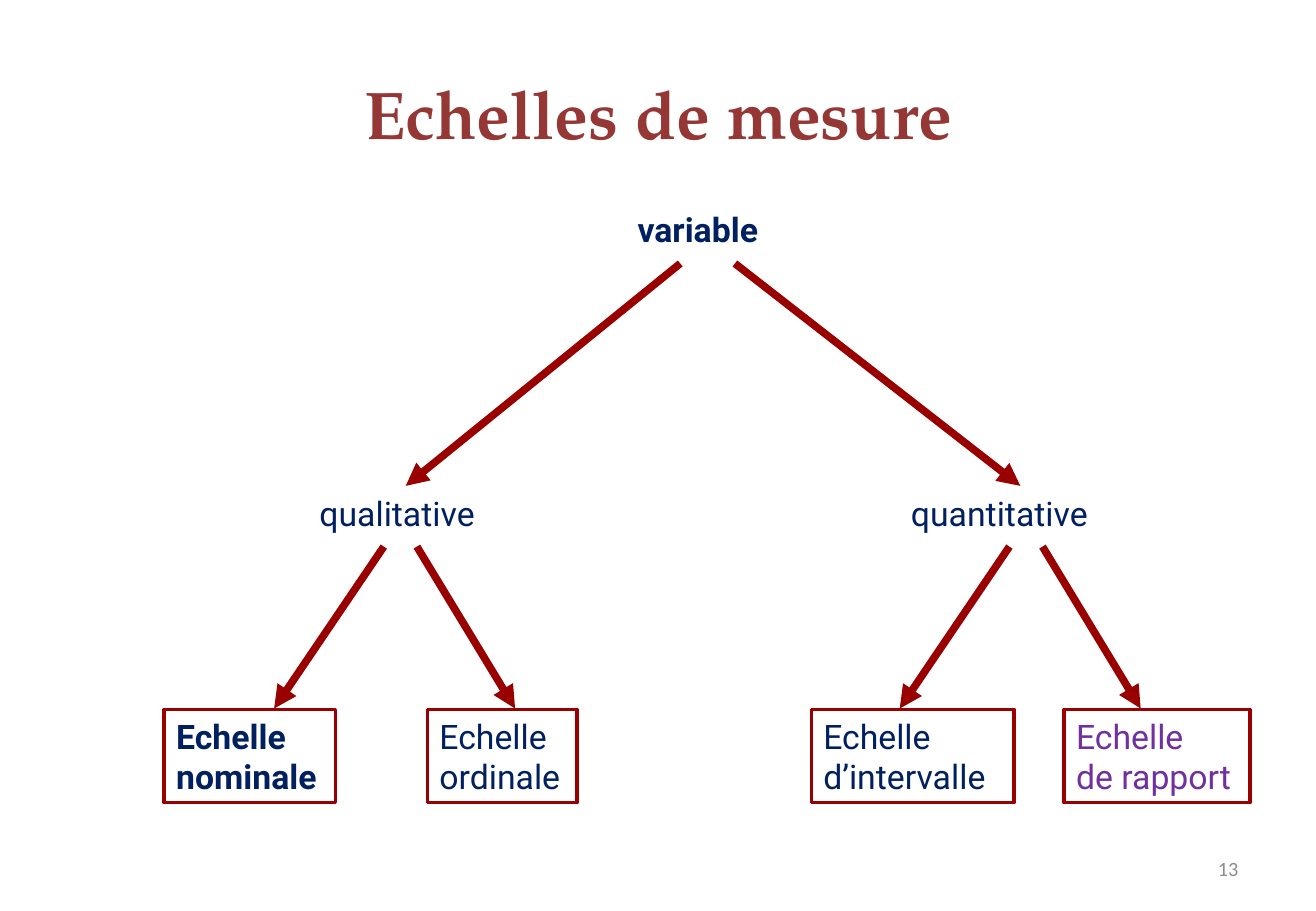
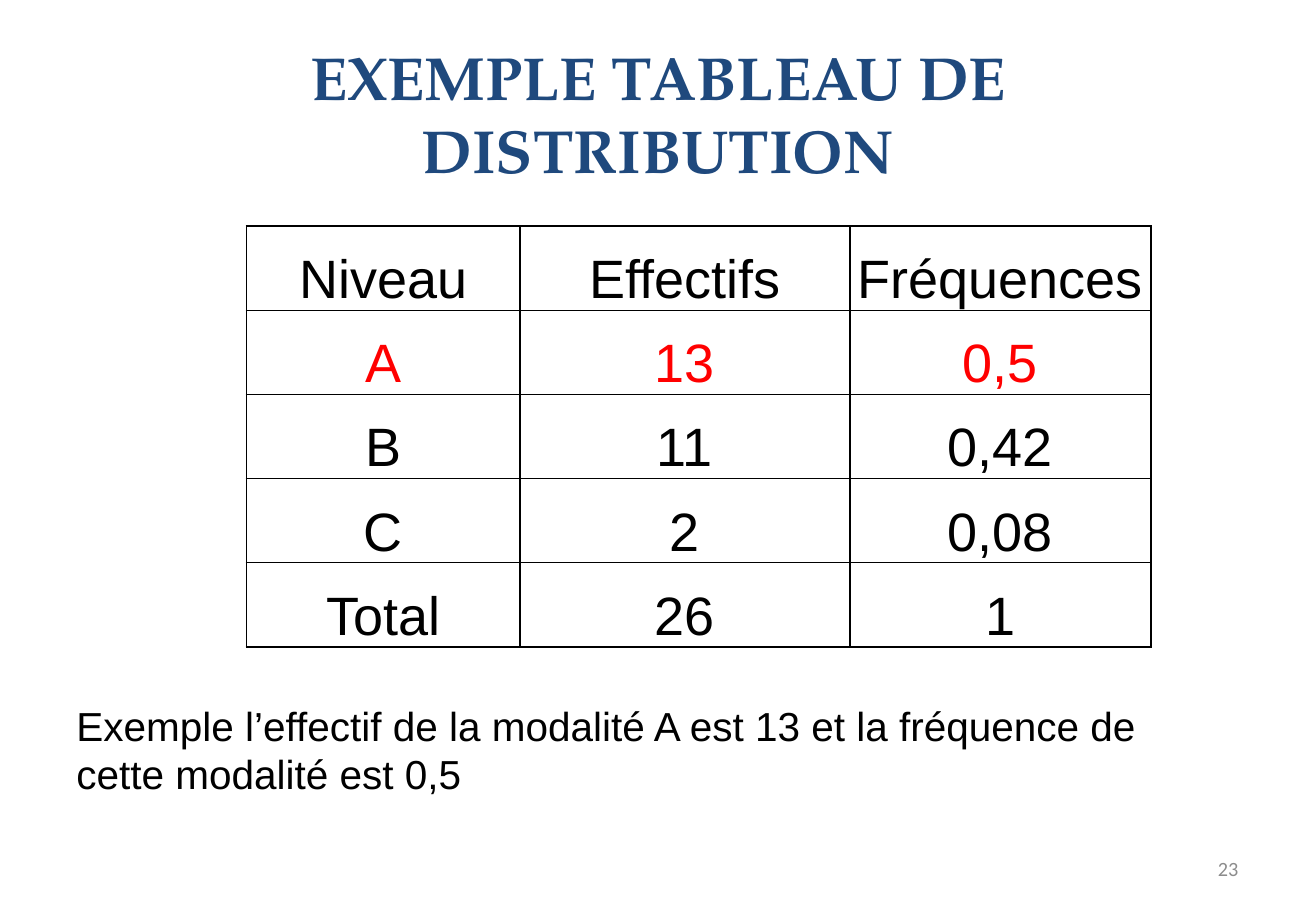
import pptx
import pptx.dml.color
import pptx.enum.shapes
import pptx.enum.text
import pptx.oxml
import pptx.oxml.ns
import pptx.util
from lxml import etree

Pt = pptx.util.Pt
ALIGN = pptx.enum.text.PP_ALIGN
ANCHOR = pptx.enum.text.MSO_ANCHOR

# Shared look
NAVY, PURPLE, DARK_RED = "002060", "7030A0", "990000"
BLACK, RED, GREY = "000000", "FF0000", "8C8C8C"
TITLE_FONT, TREE_FONT, BODY_FONT, NUMBER_FONT = "TeX Gyre Pagella", "Roboto", "Arial", "Calibri"
TITLE_FRAME = (39, 21.6, 702, 90)
NUMBER_FRAME = (558.7, 500.4, 182.3, 28.8)

# Content: scale tree (text, left, width, format)
ROOT = ("variable", 370.8, 90.7, {"bold": True})
KINDS = [("qualitative", 182.2, 110.9, {}), ("quantitative", 532.8, 123.8, {})]
SCALES = [
    ("Echelle\nnominale", 97.3, 101.5, {"bold": True}),
    ("Echelle\nordinale", 253.4, 88.6, {}),
    ("Echelle\nd’intervalle", 480.9, 120.2, {}),
    ("Echelle\nde rapport", 630.7, 110.2, {"color": PURPLE}),
]
ROOT_TOP, KIND_TOP, SCALE_TOP = 120.2, 288.7, 420.5
LABEL_HEIGHT, SCALE_HEIGHT = 31, 55.4
ROOT_ARROWS = [((403.2, 156.2), (240.5, 288)), ((435.6, 156.2), (604.8, 288))]
KIND_PIVOTS = [237.3, 608.1]
KIND_OFFSETS = [(-9.8, -74.8), (9.8, 68)]
KIND_ARROW_TOP, KIND_ARROW_END = 324, 420

# Content: distribution table
ROWS = [
    ("Niveau", "Effectifs", "Fréquences"),
    ("A", "13", "0,5"),
    ("B", "11", "0,42"),
    ("C", "2", "0,08"),
    ("Total", "26", "1"),
]
HIGHLIGHTED_ROW = 1
COLUMN_WIDTHS = [162.3, 195.4, 178.6]
TABLE_LEFT, TABLE_TOP, ROW_HEIGHT = 146, 134, 49.9
NOTE = "Exemple l’effectif de la modalité A est 13 et la fréquence de cette modalité est 0,5"
NOTE_FRAME = (38.2, 411.8, 691.9, 65.5)


def rgb(value):
    return pptx.dml.color.RGBColor.from_string(value)


def write(frame, text, font=BODY_FONT, size=20, color=BLACK, bold=False,
          align=ALIGN.LEFT, anchor=ANCHOR.TOP):
    frame.word_wrap = True
    frame.vertical_anchor = anchor
    for index, line in enumerate(text.split("\n")):
        para = frame.paragraphs[0] if index == 0 else frame.add_paragraph()
        para.alignment = align
        span = para.add_run()
        span.text = line
        span.font.name, span.font.size, span.font.bold = font, Pt(size), bold
        span.font.color.rgb = rgb(color)


def add_text(page, frame, text, **style):
    box = page.shapes.add_textbox(*map(Pt, frame))
    write(box.text_frame, text, **style)


def add_scale(page, frame, text, **style):
    box = page.shapes.add_shape(pptx.enum.shapes.MSO_SHAPE.RECTANGLE, *map(Pt, frame))
    box.shadow.inherit = False
    box.fill.background()
    box.line.color.rgb = rgb(DARK_RED)
    box.line.width = Pt(2)
    write(box.text_frame, text, **style)


def add_arrow(page, start, end):
    arrow = page.shapes.add_connector(
        pptx.enum.shapes.MSO_CONNECTOR.STRAIGHT, *map(Pt, start + end))
    arrow.line.color.rgb = rgb(DARK_RED)
    arrow.line.width = Pt(4.5)
    tag = pptx.oxml.ns.qn
    etree.SubElement(arrow.line._get_or_add_ln(), tag("a:tailEnd"), type="triangle")
    etree.SubElement(arrow._element.spPr, tag("a:effectLst"))


def add_borders(cell, color=BLACK, width=1):
    properties = cell._tc.get_or_add_tcPr()
    for position, side in enumerate(("lnL", "lnR", "lnT", "lnB")):
        border = pptx.oxml.parse_xml(
            f'<a:{side} {pptx.oxml.ns.nsdecls("a")} w="{Pt(width)}"><a:solidFill>'
            f'<a:srgbClr val="{color}"/></a:solidFill></a:{side}>')
        properties.insert(position, border)


def add_page(deck, title, number, size, color):
    page = deck.slides.add_slide(deck.slide_layouts[6])
    add_text(page, TITLE_FRAME, title, font=TITLE_FONT, size=size, color=color,
             bold=True, align=ALIGN.CENTER, anchor=ANCHOR.MIDDLE)
    add_text(page, NUMBER_FRAME, number, font=NUMBER_FONT, size=12, color=GREY,
             align=ALIGN.RIGHT, anchor=ANCHOR.MIDDLE)
    return page


def build_tree(deck):
    page = add_page(deck, "Echelles de mesure", "13", 40, "953735")
    tree_style = {"font": TREE_FONT, "color": NAVY}

    # Labels and boxed scales, level by level
    levels = [
        (add_text, [ROOT], ROOT_TOP, LABEL_HEIGHT),
        (add_text, KINDS, KIND_TOP, LABEL_HEIGHT),
        (add_scale, SCALES, SCALE_TOP, SCALE_HEIGHT),
    ]
    for add_node, nodes, top, height in levels:
        for text, left, width, style in nodes:
            add_node(page, (left, top, width, height), text, **{**tree_style, **style})

    # Branches
    for start, end in ROOT_ARROWS:
        add_arrow(page, start, end)
    for pivot in KIND_PIVOTS:
        for start, end in KIND_OFFSETS:
            add_arrow(page, (pivot + start, KIND_ARROW_TOP), (pivot + end, KIND_ARROW_END))


def build_distribution(deck):
    page = add_page(deck, "EXEMPLE TABLEAU DE DISTRIBUTION", "23", 36, "1F497D")

    # Table
    table = page.shapes.add_table(
        len(ROWS), len(COLUMN_WIDTHS), Pt(TABLE_LEFT), Pt(TABLE_TOP),
        Pt(sum(COLUMN_WIDTHS)), Pt(ROW_HEIGHT * len(ROWS))).table
    table.first_row = table.horz_banding = False
    for column, width in zip(table.columns, COLUMN_WIDTHS):
        column.width = Pt(width)
    for row_index, values in enumerate(ROWS):
        table.rows[row_index].height = Pt(ROW_HEIGHT)
        color = RED if row_index == HIGHLIGHTED_ROW else BLACK
        for column_index, value in enumerate(values):
            cell = table.cell(row_index, column_index)
            cell.margin_left = cell.margin_right = cell.margin_top = cell.margin_bottom = 0
            cell.vertical_anchor = ANCHOR.BOTTOM
            cell.fill.background()
            add_borders(cell)
            write(cell.text_frame, value, size=32, color=color,
                  align=ALIGN.CENTER, anchor=ANCHOR.BOTTOM)

    # Reading example
    add_text(page, NOTE_FRAME, NOTE, size=24)


def main():
    deck = pptx.Presentation()
    deck.slide_width, deck.slide_height = Pt(780), Pt(540)
    build_tree(deck)
    build_distribution(deck)
    deck.save("out.pptx")


if __name__ == "__main__":
    main()
